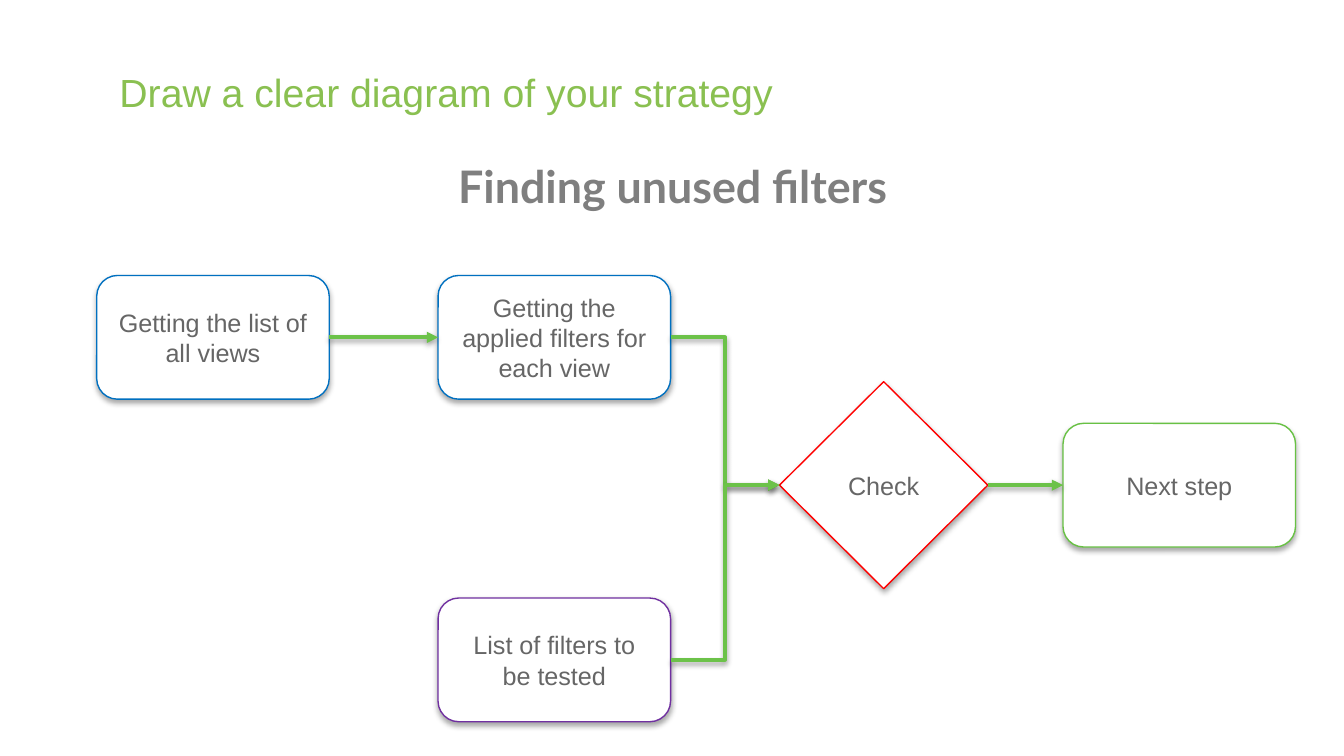
import pptx
import pptx.dml.color
import pptx.enum.shapes
import pptx.enum.text
import pptx.oxml.ns
import pptx.util
from lxml import etree

Inches, Pt = pptx.util.Inches, pptx.util.Pt
MSO_SHAPE = pptx.enum.shapes.MSO_SHAPE
MSO_CONNECTOR = pptx.enum.shapes.MSO_CONNECTOR
PP_ALIGN = pptx.enum.text.PP_ALIGN
qn = pptx.oxml.ns.qn

GREEN = "6CC249"
BOX_SIZE, DIAMOND_SIZE = (1.73, 0.92), (1.55, 1.54)
ROUND, DIAMOND = MSO_SHAPE.ROUNDED_RECTANGLE, MSO_SHAPE.DIAMOND
STRAIGHT, ELBOW = MSO_CONNECTOR.STRAIGHT, MSO_CONNECTOR.ELBOW
LEFT_SIDE, RIGHT_SIDE = 1, 3

# key: text, shape, size, left, vertical centre, outline
STEPS = {
    "views": ("Getting the list of all views", ROUND, BOX_SIZE, 0.72, 2.51, "0070C0"),
    "applied": ("Getting the applied filters for each view", ROUND, BOX_SIZE, 3.26, 2.51, "0070C0"),
    "next": ("Next step", ROUND, BOX_SIZE, 7.91, 3.61, "68C144"),
    "tested": ("List of filters to be tested", ROUND, BOX_SIZE, 3.26, 4.91, "7030A0"),
    "check": ("Check", DIAMOND, DIAMOND_SIZE, 5.8, 3.61, "FF0000"),
}
ARROWS = [
    ("views", "applied", STRAIGHT),
    ("applied", "check", ELBOW),
    ("tested", "check", ELBOW),
    ("check", "next", STRAIGHT),
]
# text, box, wrap, alignment, size, font, colour, bold
HEADINGS = [
    ("Draw a clear diagram of your strategy", (0.79, 0.46, 5.11, 0.45), False,
     PP_ALIGN.LEFT, 21, "Arial", "8AC051", False),
    ("Finding unused filters", (2.72, 1.13, 4.57, 0.5), True,
     PP_ALIGN.CENTER, 24, "Lato", "7F7F7F", True),
]


def rgb(value):
    return pptx.dml.color.RGBColor.from_string(value)


def write(tf, text, align, size, font, color, bold=False):
    p = tf.paragraphs[0]
    p.text = text
    p.alignment = align
    p.font.size = Pt(size)
    p.font.name = font
    p.font.bold = bold
    p.font.color.rgb = rgb(color)


def add_shadow(sp, opacity, distance):
    """Give a shape or connector a soft black shadow straight below it."""
    effects = etree.SubElement(sp._element.spPr, qn("a:effectLst"))
    shadow = etree.SubElement(effects, qn("a:outerShdw"), blurRad=str(Pt(3.1)),
                              dist=str(Pt(distance)), dir="5400000", rotWithShape="0")
    color = etree.SubElement(shadow, qn("a:srgbClr"), val="000000")
    etree.SubElement(color, qn("a:alpha"), val=str(opacity * 1000))


def add_step(s, text, kind, size, left, middle, outline):
    width, height = size
    sp = s.shapes.add_shape(kind, Inches(left), Inches(middle - height / 2),
                            Inches(width), Inches(height))
    sp.fill.solid()
    sp.fill.fore_color.rgb = rgb("FFFFFF")
    sp.line.color.rgb = rgb(outline)
    sp.line.width = Pt(0.75)
    add_shadow(sp, 35, 1.8)
    tf = sp.text_frame
    tf.word_wrap = True
    tf.vertical_anchor = pptx.enum.text.MSO_ANCHOR.MIDDLE
    write(tf, text, PP_ALIGN.CENTER, 13.5, "Arial", "666666")
    return sp


def add_arrow(s, start, end, kind):
    arrow = s.shapes.add_connector(kind, 0, 0, 0, 0)
    arrow.begin_connect(start, RIGHT_SIDE)
    arrow.end_connect(end, LEFT_SIDE)
    arrow.line.color.rgb = rgb(GREEN)
    arrow.line.width = Pt(2)
    etree.SubElement(arrow.line._get_or_add_ln(), qn("a:tailEnd"), type="triangle")
    add_shadow(arrow, 38, 1.6)


prs = pptx.Presentation()
prs.slide_width = Inches(10)
prs.slide_height = prs.slide_width * 9 // 16
s = prs.slides.add_slide(prs.slide_layouts[6])

steps = {key: add_step(s, *step) for key, step in STEPS.items()}

for text, box, wrap, *style in HEADINGS:
    tf = s.shapes.add_textbox(*map(Inches, box)).text_frame
    tf.word_wrap = wrap
    tf.auto_size = pptx.enum.text.MSO_AUTO_SIZE.SHAPE_TO_FIT_TEXT
    write(tf, text, *style)

for start, end, kind in ARROWS:
    add_arrow(s, steps[start], steps[end], kind)

prs.save("out.pptx")
